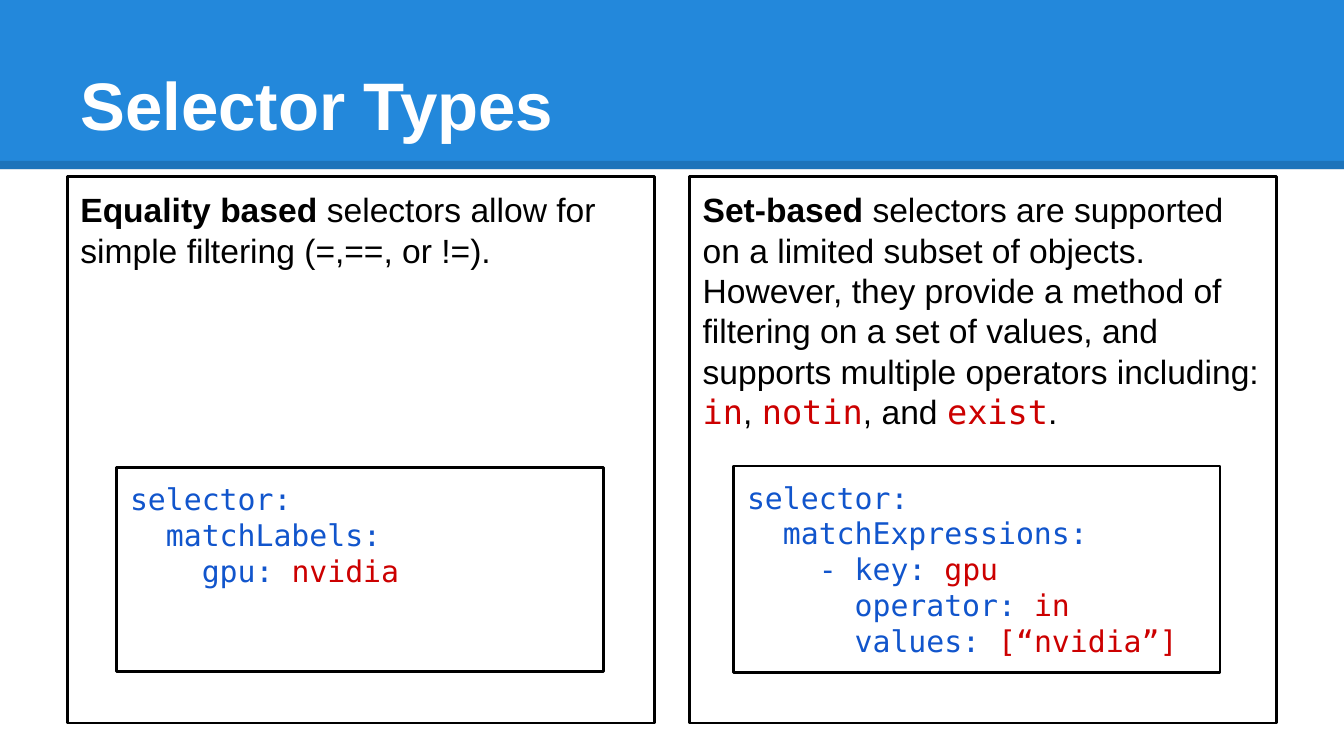
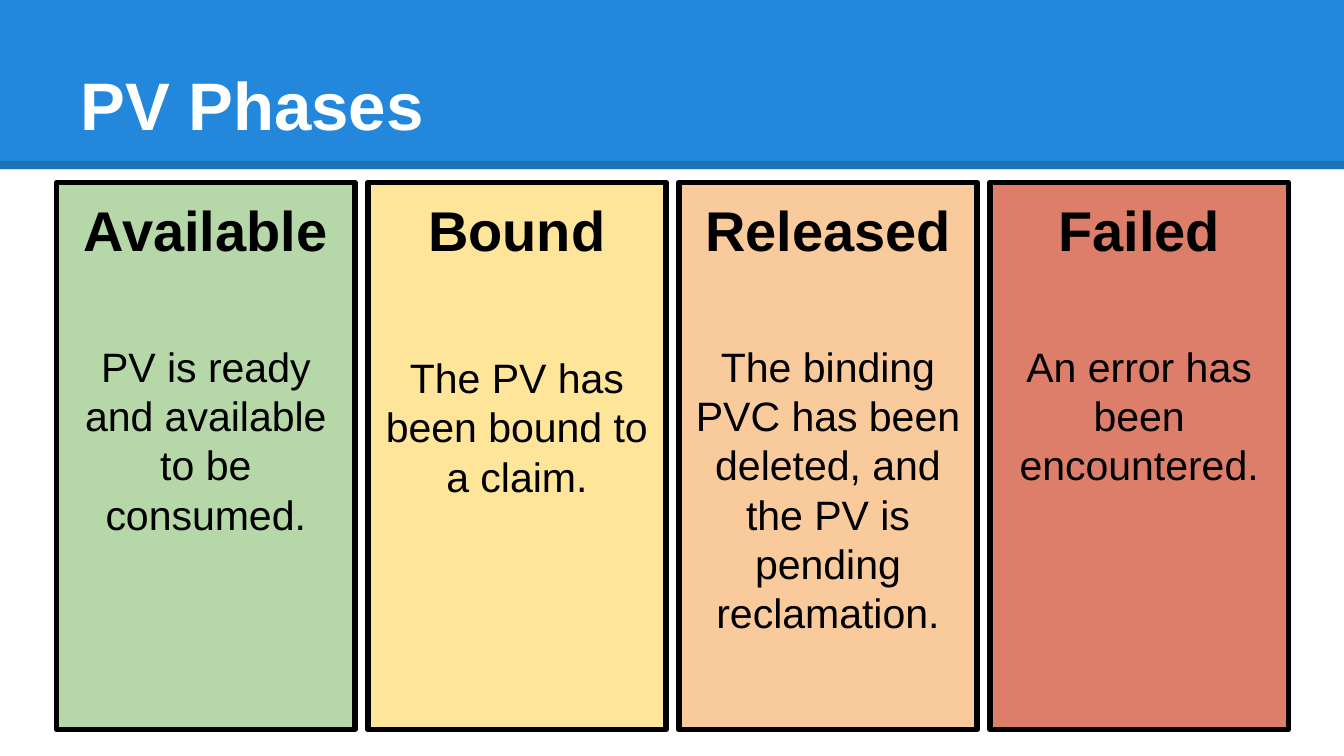
from dataclasses import dataclass

from lxml import etree
from pptx import Presentation
from pptx import util as u
from pptx.dml import color as c
from pptx.enum import shapes, text
from pptx.oxml import ns


@dataclass(frozen=True)
class Theme:
    band: str = "2388DB"
    ink: str = "000000"
    paper: str = "FFFFFF"
    key: str = "1155CC"
    value: str = "CC0000"
    sans: str = "Arial"
    mono: str = "DejaVu Sans Mono"
    title_size: int = 36
    heading_size: int = 30
    phase_size: int = 22
    body_size: int = 18
    code_size: int = 16


THEME = Theme()


@dataclass(frozen=True)
class Box:
    left: float
    top: float
    width: float
    height: float

    def lengths(self) -> tuple:
        return tuple(u.Cm(n) for n in (self.left, self.top, self.width, self.height))


@dataclass(frozen=True)
class Selector:
    panel: Box
    name: str
    description: str
    operators: tuple
    code_box: Box
    code: tuple


@dataclass(frozen=True)
class Phase:
    name: str
    description: str
    fill: str
    gap: int = 42


SLIDE = Box(0, 0, 25.4, 14.29)
BAND = Box(0, 0, SLIDE.width, 3.2)
BAND_EDGE = 3.12
TITLE = Box(1.27, 0.58, 22.86, 2.39)

SELECTORS = (
    Selector(
        Box(1.27, 3.33, 11.1, 10.34),
        "Equality based ",
        "selectors allow for simple filtering (=,==, or !=).",
        (),
        Box(2.21, 8.84, 9.19, 3.86),
        (("selector:", ""), ("  matchLabels:", ""), ("    gpu: ", "nvidia")),
    ),
    Selector(
        Box(13.03, 3.33, 11.1, 10.34),
        "Set-based ",
        "selectors are supported on a limited subset of objects. However, they "
        "provide a method of filtering on a set of values, and supports multiple "
        "operators including: ",
        (("in", ", "), ("notin", ", and "), ("exist", ".")),
        Box(13.87, 8.81, 9.19, 3.91),
        (
            ("selector:", ""),
            ("  matchExpressions:", ""),
            ("    - key: ", "gpu"),
            ("      operator: ", "in"),
            ("      values: ", "[“nvidia”]"),
        ),
    ),
)

PHASES = (
    Phase("Available", "PV is ready and available to be consumed.", "B6D7A8"),
    Phase("Bound", "The PV has been bound to a claim.", "FFE599", gap=48),
    Phase(
        "Released",
        "The binding PVC has been deleted, and the PV is pending reclamation.",
        "F9CB9C",
    ),
    Phase("Failed", "An error has been encountered.", "DD7E6B"),
)
FIRST_PHASE = Box(1.07, 3.45, 5.64, 10.34)
PHASE_STEP = 5.88


def add_run(paragraph, content: str, *, size: int, color: str = THEME.ink,
            font: str = THEME.sans, bold: bool = False) -> None:
    run = paragraph.add_run()
    run.text = content
    run.font.size = u.Pt(size)
    run.font.name = font
    run.font.bold = bold
    run.font.color.rgb = c.RGBColor.from_string(color)


def set_up_frame(shape, anchor=text.MSO_ANCHOR.TOP):
    frame = shape.text_frame
    frame.word_wrap = True
    frame.vertical_anchor = anchor
    frame.margin_left = frame.margin_right = u.Cm(0.25)
    frame.margin_top = frame.margin_bottom = u.Cm(0.25)
    frame.paragraphs[0].alignment = text.PP_ALIGN.LEFT
    return frame


def add_rectangle(slide, box: Box, *, fill: str = "", line_width: float = 0):
    shape = slide.shapes.add_shape(shapes.MSO_SHAPE.RECTANGLE, *box.lengths())
    shape.shadow.inherit = False
    if fill:
        shape.fill.solid()
        shape.fill.fore_color.rgb = c.RGBColor.from_string(fill)
    else:
        shape.fill.background()
    if line_width:
        shape.line.color.rgb = c.RGBColor.from_string(THEME.ink)
        shape.line.width = u.Pt(line_width)
        etree.SubElement(shape.line._get_or_add_ln(), ns.qn("a:round"))
    else:
        shape.line.fill.background()
    return shape


def add_band_edge(slide) -> None:
    edge = slide.shapes.add_connector(
        shapes.MSO_CONNECTOR.STRAIGHT,
        u.Cm(0), u.Cm(BAND_EDGE), u.Cm(SLIDE.width), u.Cm(BAND_EDGE),
    )
    edge.line.color.rgb = c.RGBColor.from_string(THEME.ink)
    edge.line.width = u.Pt(4.5)
    properties = edge._element.spPr
    color = properties.find(".//" + ns.qn("a:srgbClr"))
    etree.SubElement(color, ns.qn("a:alpha"), val="15000")
    etree.SubElement(properties, ns.qn("a:effectLst"))


def add_titled_slide(presentation, title: str):
    slide = presentation.slides.add_slide(presentation.slide_layouts[6])
    slide.background.fill.solid()
    slide.background.fill.fore_color.rgb = c.RGBColor.from_string(THEME.paper)
    add_rectangle(slide, BAND, fill=THEME.band)
    add_band_edge(slide)
    title_box = slide.shapes.add_textbox(*TITLE.lengths())
    frame = set_up_frame(title_box, text.MSO_ANCHOR.BOTTOM)
    add_run(frame.paragraphs[0], title, size=THEME.title_size,
            color=THEME.paper, bold=True)
    return slide


def add_selector(slide, selector: Selector) -> None:
    panel = add_rectangle(slide, selector.panel, line_width=1.5)
    paragraph = set_up_frame(panel).paragraphs[0]
    add_run(paragraph, selector.name, size=THEME.body_size, bold=True)
    add_run(paragraph, selector.description, size=THEME.body_size)
    for operator, separator in selector.operators:
        add_run(paragraph, operator, size=THEME.body_size,
                color=THEME.value, font=THEME.mono)
        add_run(paragraph, separator, size=THEME.body_size)

    frame = set_up_frame(add_rectangle(slide, selector.code_box, line_width=1.5))
    for index, (key, value) in enumerate(selector.code):
        paragraph = frame.add_paragraph() if index else frame.paragraphs[0]
        paragraph.alignment = text.PP_ALIGN.LEFT
        for content, color in ((key, THEME.key), (value, THEME.value)):
            if content:
                add_run(paragraph, content, size=THEME.code_size,
                        color=color, font=THEME.mono)


def add_phase(slide, phase: Phase, index: int) -> None:
    box = Box(FIRST_PHASE.left + index * PHASE_STEP, FIRST_PHASE.top,
              FIRST_PHASE.width, FIRST_PHASE.height)
    frame = set_up_frame(add_rectangle(slide, box, fill=phase.fill, line_width=3))
    heading = frame.paragraphs[0]
    add_run(heading, phase.name, size=THEME.heading_size, bold=True)
    description = frame.add_paragraph()
    description.space_before = u.Pt(phase.gap)
    add_run(description, phase.description, size=THEME.phase_size)
    for paragraph in (heading, description):
        paragraph.alignment = text.PP_ALIGN.CENTER


def main() -> None:
    presentation = Presentation()
    presentation.slide_width = u.Cm(SLIDE.width)
    presentation.slide_height = u.Cm(SLIDE.height)

    slide = add_titled_slide(presentation, "Selector Types")
    for selector in SELECTORS:
        add_selector(slide, selector)

    slide = add_titled_slide(presentation, "PV Phases")
    for index, phase in enumerate(PHASES):
        add_phase(slide, phase, index)

    presentation.save("out.pptx")


if __name__ == "__main__":
    main()
